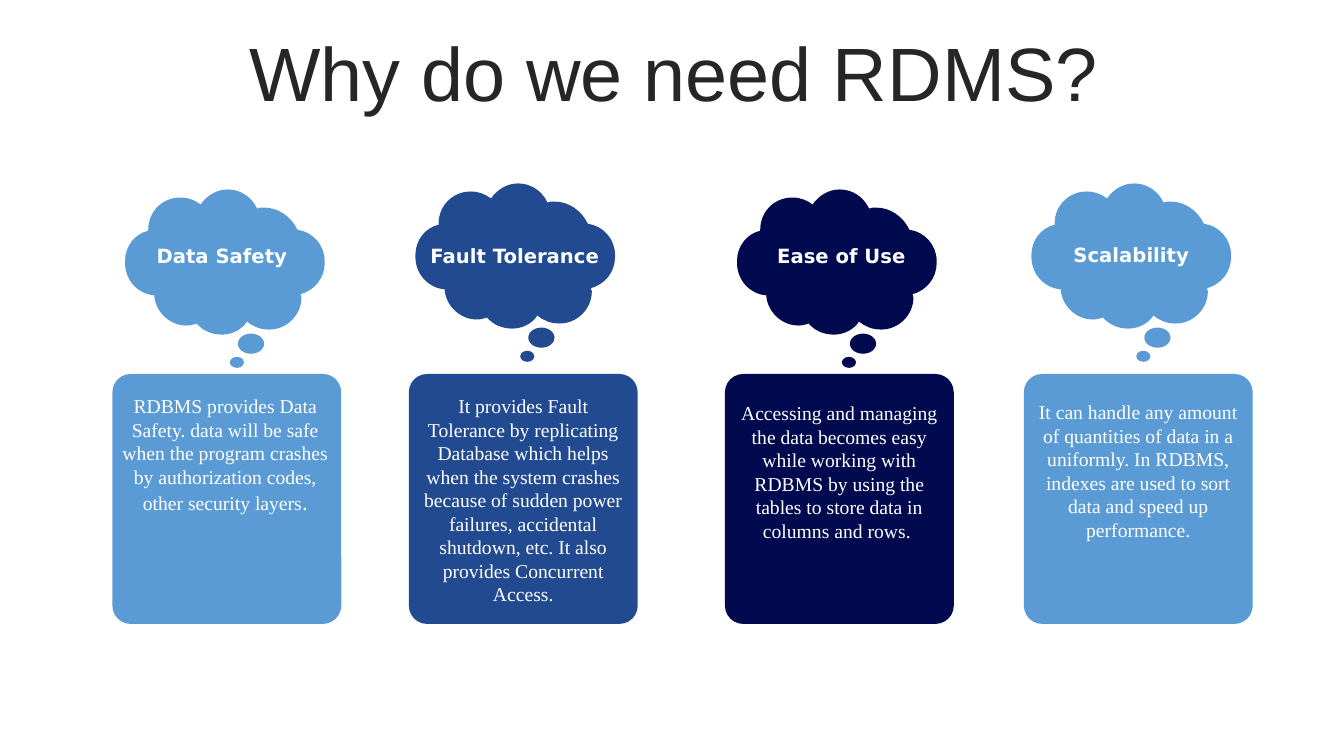
from dataclasses import dataclass

from lxml import etree
from pptx import Presentation
from pptx import util as u
from pptx.dml.color import RGBColor
from pptx.enum import shapes, text
from pptx.oxml import ns

# One grid cell is a hundredth of an inch; the slide has 1333 columns and 750 rows.
CELL = u.Inches(0.01)
COLS, ROWS = 1333, 750

SKY = RGBColor(0x5A, 0x9B, 0xD5)
BLUE = RGBColor(0x22, 0x4A, 0x90)
NAVY = RGBColor(0x01, 0x0A, 0x4F)
WHITE = RGBColor(0xFF, 0xFF, 0xFF)
INK = RGBColor(0x26, 0x26, 0x26)

SERIF = "Times New Roman"
START = (102, 0)
# Each curve of the cloud: two handles and an end point, in cells from its corner.
CURVES = [
    ((115, 0), (126, 8), (131, 19)),
    ((133, 18), (135, 18), (138, 18)),
    ((152, 18), (165, 27), (171, 40)),
    ((186, 42), (198, 55), (198, 71)),
    ((198, 72), (198, 72), (198, 73)),
    ((198, 88), (188, 100), (174, 104)),
    ((175, 105), (175, 106), (175, 107)),
    ((175, 125), (160, 139), (143, 139)),
    ((134, 139), (127, 136), (121, 131)),
    ((116, 139), (106, 144), (96, 144)),
    ((86, 144), (77, 140), (71, 133)),
    ((68, 134), (65, 135), (61, 135)),
    ((44, 135), (30, 121), (29, 105)),
    ((13, 104), (0, 90), (0, 73)),
    ((0, 72), (0, 72), (0, 71)),
    ((0, 56), (10, 44), (23, 41)),
    ((23, 40), (23, 40), (23, 40)),
    ((23, 22), (37, 8), (55, 8)),
    ((63, 8), (70, 11), (75, 15)),
    ((81, 6), (91, 0), (102, 0)),
]


@dataclass(frozen=True)
class Box:
    col: float
    row: float
    wide: float
    high: float

    def emu(self) -> list[int]:
        return [round(n * CELL) for n in (self.col, self.row, self.wide, self.high)]


@dataclass(frozen=True)
class Card:
    fill: RGBColor
    left: float
    cloud: tuple[int, int]
    label: Box
    head: str
    note: Box
    body: str
    tail: str = ""


CARDS = [
    Card(SKY, 111.5, (124, 188), Box(129, 237, 182, 34), "Data Safety",
         Box(111.5, 386, 224, 131),
         "RDBMS provides Data Safety. data will be safe when the program "
         "crashes by authorization codes, other security layers", "."),
    Card(BLUE, 405.5, (412, 182), Box(411.5, 237, 198, 34), "Fault Tolerance",
         Box(405.5, 386, 227, 222),
         "It provides Fault Tolerance by replicating Database which helps when "
         "the system crashes because of sudden power failures, accidental "
         "shutdown, etc. It also provides Concurrent Access."),
    Card(NAVY, 719, (731, 188), Box(743.5, 237, 182, 34), "Ease of Use",
         Box(719, 393, 227, 151),
         "Accessing and managing the data becomes easy while working with RDBMS "
         "by using the tables to store data in columns and rows. "),
    Card(SKY, 1015.5, (1023, 182), Box(1031, 236, 182, 34), "Scalability",
         Box(1015.5, 392, 227, 151),
         "It can handle any amount of quantities of data in a uniformly. In "
         "RDBMS, indexes are used to sort data and speed up performance."),
]


def bend(shape) -> None:
    """Swap the straight sides of the outline for the cloud's curves."""
    sides = list(shape._element.iter(ns.qn("a:lnTo")))
    for side, curve in zip(sides, CURVES):
        arc = etree.Element(ns.qn("a:cubicBezTo"))
        for x, y in curve:
            etree.SubElement(arc, ns.qn("a:pt"), x=str(x), y=str(y))
        side.getparent().replace(side, arc)


def paint(shape, fill: RGBColor) -> None:
    shape.shadow.inherit = False
    shape.fill.solid()
    shape.fill.fore_color.rgb = fill
    shape.line.fill.background()


def style(run, face: str, size: int, ink: RGBColor, bold: bool = False) -> None:
    run.font.name = face
    run.font.size = u.Pt(size)
    run.font.color.rgb = ink
    run.font.bold = bold


def write(slide, box: Box, words: str, face: str, bold: bool = False, side: float = 0.1):
    """Add a centred white text box and return its paragraph."""
    frame = slide.shapes.add_textbox(*box.emu()).text_frame
    frame.word_wrap = True
    frame.auto_size = text.MSO_AUTO_SIZE.SHAPE_TO_FIT_TEXT
    frame.margin_left = frame.margin_right = u.Inches(side)
    para = frame.paragraphs[0]
    para.text = words
    para.alignment = text.PP_ALIGN.CENTER
    style(para.runs[0], face, 14, WHITE, bold)
    return para


def puff(slide, card: Card) -> None:
    """Draw a thought cloud with its two trailing dots as one group."""
    col, row = card.cloud
    group = slide.shapes.add_group_shape().shapes
    pen = group.build_freeform(col + START[0], row + START[1], scale=CELL)
    pen.add_line_segments([(col + x, row + y) for _, _, (x, y) in CURVES], close=True)
    cloud = pen.convert_to_shape()
    bend(cloud)
    paint(cloud, card.fill)
    for x, y, wide, high in ((112, 143, 26, 20), (104, 166, 14, 11)):
        dot = Box(col + x, row + y, wide, high)
        paint(group.add_shape(shapes.MSO_SHAPE.OVAL, *dot.emu()), card.fill)


def draw(slide, card: Card) -> None:
    puff(slide, card)
    panel = slide.shapes.add_shape(
        shapes.MSO_SHAPE.ROUNDED_RECTANGLE, *Box(card.left, 371, 227, 248).emu())
    panel.adjustments[0] = 0.08
    paint(panel, card.fill)
    write(slide, card.label, card.head, "DejaVu Sans", True, 0.12)
    para = write(slide, card.note, card.body, SERIF)
    if card.tail:
        run = para.add_run()
        run.text = card.tail
        style(run, SERIF, 16, WHITE)


def name(slide, words: str) -> None:
    title = slide.shapes.title
    title.left, title.top, title.width, title.height = Box(35, 37, 1266, 79).emu()
    frame = title.text_frame
    frame.text = words
    frame.word_wrap = True
    frame.auto_size = text.MSO_AUTO_SIZE.NONE
    frame.vertical_anchor = text.MSO_ANCHOR.MIDDLE
    para = frame.paragraphs[0]
    para.alignment = text.PP_ALIGN.CENTER
    para.line_spacing = 0.9
    para.space_before = u.Pt(10)
    style(para.runs[0], "Arial", 54, INK)


def main() -> None:
    deck = Presentation()
    deck.slide_width, deck.slide_height = COLS * CELL, ROWS * CELL
    slide = deck.slides.add_slide(deck.slide_layouts.get_by_name("Title Only"))
    name(slide, "Why do we need RDMS?")
    for card in CARDS:
        draw(slide, card)
    deck.save("out.pptx")


if __name__ == "__main__":
    main()
